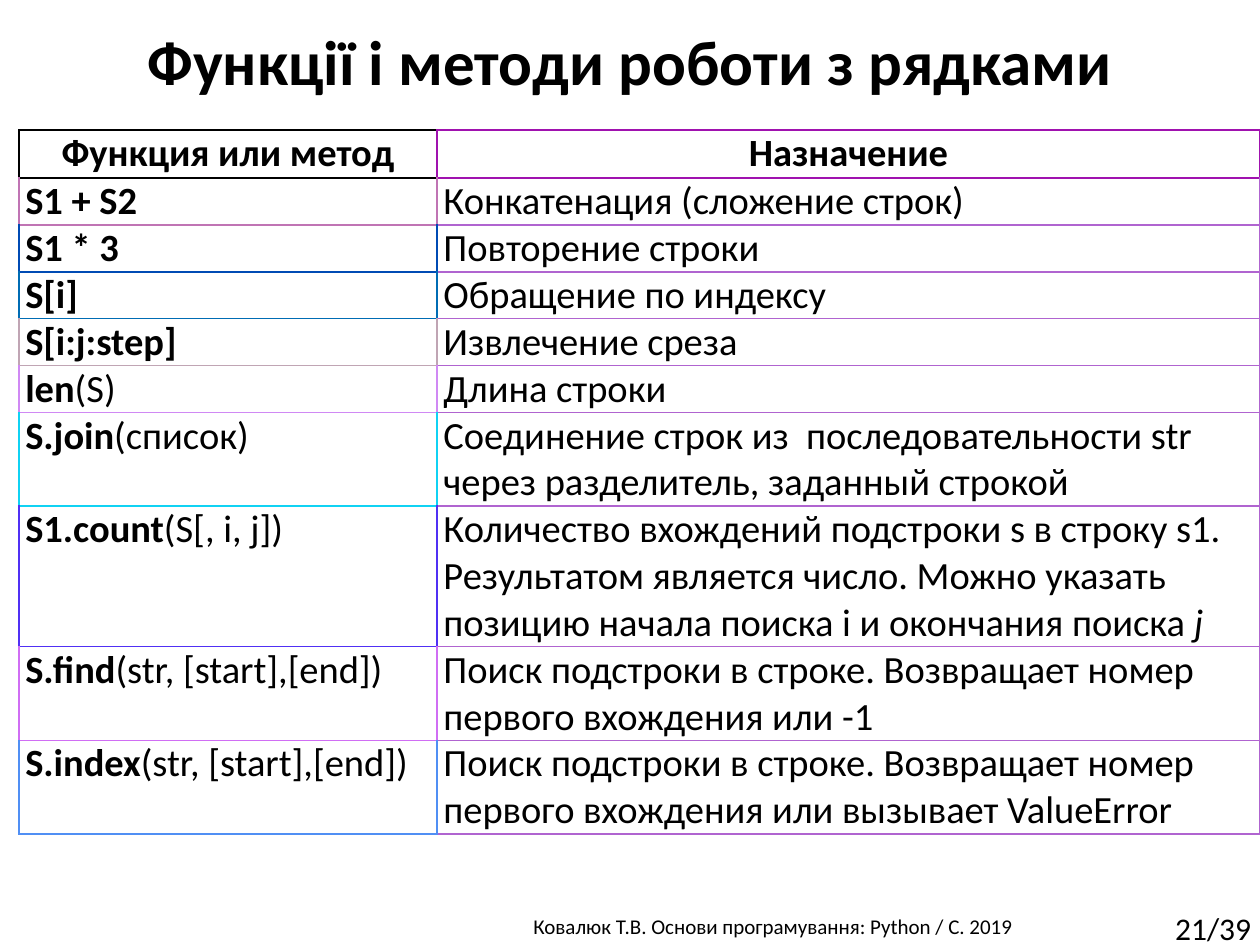
import pptx
import pptx.dml.color
import pptx.enum.text
import pptx.oxml.ns
import pptx.util
import lxml.etree

Cm, Pt = pptx.util.Cm, pptx.util.Pt
Align = pptx.enum.text.PP_ALIGN
Anchor = pptx.enum.text.MSO_ANCHOR
qn = pptx.oxml.ns.qn

HUES = {"ink": "000000", "paper": "FFFFFF", "head": "A012AF", "violet": "B064D0",
        "rose": "C074B4", "navy": "004BB4", "blue": "006CB4", "dust": "C0A5B4",
        "lilac": "D089F4", "cyan": "10D2F3", "indigo": "5030F4",
        "orchid": "D06EF4", "sky": "508FF4"}

HEADS = ["Функция или метод", "Назначение"]
ROWS = [
    ("rose", 1, "S1 + S2", "", "Конкатенация (сложение строк)", ""),
    ("navy", 1, "S1 * 3", "", "Повторение строки", ""),
    ("blue", 1, "S[i]", "", "Обращение по индексу", ""),
    ("dust", 1, "S[i:j:step]", "", "Извлечение среза", ""),
    ("lilac", 1, "len", "(S)", "Длина строки", ""),
    ("cyan", 2, "S.join", "(список)",
     "Соединение строк из  последовательности str через разделитель, заданный строкой", ""),
    ("indigo", 3, "S1.count", "(S[, i, j])",
     "Количество вхождений подстроки s в строку s1. Результатом является число. "
     "Можно указать позицию начала поиска i и окончания поиска ", "j"),
    ("orchid", 2, "S.find", "(str, [start],[end])",
     "Поиск подстроки в строке. Возвращает номер первого вхождения или -1", ""),
    ("sky", 2, "S.index", "(str, [start],[end])",
     "Поиск подстроки в строке. Возвращает номер первого вхождения или вызывает ValueError", ""),
]
HEAD_TALL, LINE_TALL = 0.97, 0.93


class Deck:
    def __init__(self, wide, tall, font):
        self.show = pptx.Presentation()
        self.show.slide_width, self.show.slide_height = Cm(wide), Cm(tall)
        self.font = font
        self.slide = self.show.slides.add_slide(self.show.slide_layouts[5])

    def style(self, run, size, bold=False, slant=False):
        run.font.name, run.font.size = self.font, Pt(size)
        run.font.bold, run.font.italic = bold, slant
        run.font.color.rgb = pptx.dml.color.RGBColor.from_string(HUES["ink"])

    def fill_text(self, shape, text, size, align, bold=False):
        frame = shape.text_frame
        frame.text = text
        frame.paragraphs[0].alignment = align
        self.style(frame.paragraphs[0].runs[0], size, bold)
        return frame

    def title(self, text, box, size):
        shape = self.slide.shapes.title
        shape.left, shape.top, shape.width, shape.height = map(Cm, box)
        frame = self.fill_text(shape, text, size, Align.CENTER, True)
        frame.vertical_anchor = Anchor.TOP
        frame.auto_size = pptx.enum.text.MSO_AUTO_SIZE.NONE

    def label(self, text, box, size, align, wrap=True):
        shape = self.slide.shapes.add_textbox(*map(Cm, box))
        self.fill_text(shape, text, size, align).word_wrap = wrap

    def table(self, left, top, cols, rows):
        frame = self.slide.shapes.add_table(
            len(rows), len(cols), Cm(left), Cm(top), Cm(sum(cols)), Cm(sum(rows)))
        grid = frame.table
        grid.first_row = grid.horz_banding = False
        for col, wide in zip(grid.columns, cols):
            col.width = Cm(wide)
        for row, tall in zip(grid.rows, rows):
            row.height = Cm(tall)
        return grid

    def cell(self, cell, parts, edges, align=Align.LEFT, size=22):
        cell.margin_left = cell.margin_right = Cm(0.13)
        cell.margin_top = cell.margin_bottom = 0
        para = cell.text_frame.paragraphs[0]
        para.alignment = align
        for text, bold, slant in parts:
            if text:
                run = para.add_run()
                run.text = text
                self.style(run, size, bold, slant)
        props = cell._tc.get_or_add_tcPr()
        for side, hue in zip("LRTB", edges):
            line = lxml.etree.SubElement(props, qn("a:ln" + side), w=str(Pt(1)))
            solid = lxml.etree.SubElement(line, qn("a:solidFill"))
            lxml.etree.SubElement(solid, qn("a:srgbClr"), val=HUES[hue])
        cell.fill.solid()
        cell.fill.fore_color.rgb = pptx.dml.color.RGBColor.from_string(HUES["paper"])


def main():
    deck = Deck(25.4, 19.05, "Calibri")
    deck.title("Функції і методи роботи з рядками", (0, 0.33, 25.4, 1.8), 36)

    talls = [HEAD_TALL] + [row[1] * LINE_TALL for row in ROWS]
    grid = deck.table(0.38, 2.62, (8.43, 16.59), talls)
    tops = ["ink", "head"]
    for col, (text, hue) in enumerate(zip(HEADS, tops)):
        deck.cell(grid.cell(0, col), [(text, True, False)], [hue] * 4, Align.CENTER)
    for num, (hue, _, name, args, note, tail) in enumerate(ROWS, 1):
        deck.cell(grid.cell(num, 0), [(name, True, False), (args, False, False)],
                  (hue, hue, tops[0], hue))
        deck.cell(grid.cell(num, 1), [(note, False, False), (tail, False, True)],
                  (hue, "violet", tops[1], "violet"))
        tops = [hue, "violet"]

    deck.label("Ковалюк Т.В. Основи програмування: Python / C. 2019",
               (8.36, 18.29, 14.45, 0.76), 12, Align.CENTER)
    deck.label("21/39", (23.44, 18.21, 2.16, 1.02), 18, Align.LEFT, False)
    deck.show.save("out.pptx")


if __name__ == "__main__":
    main()
